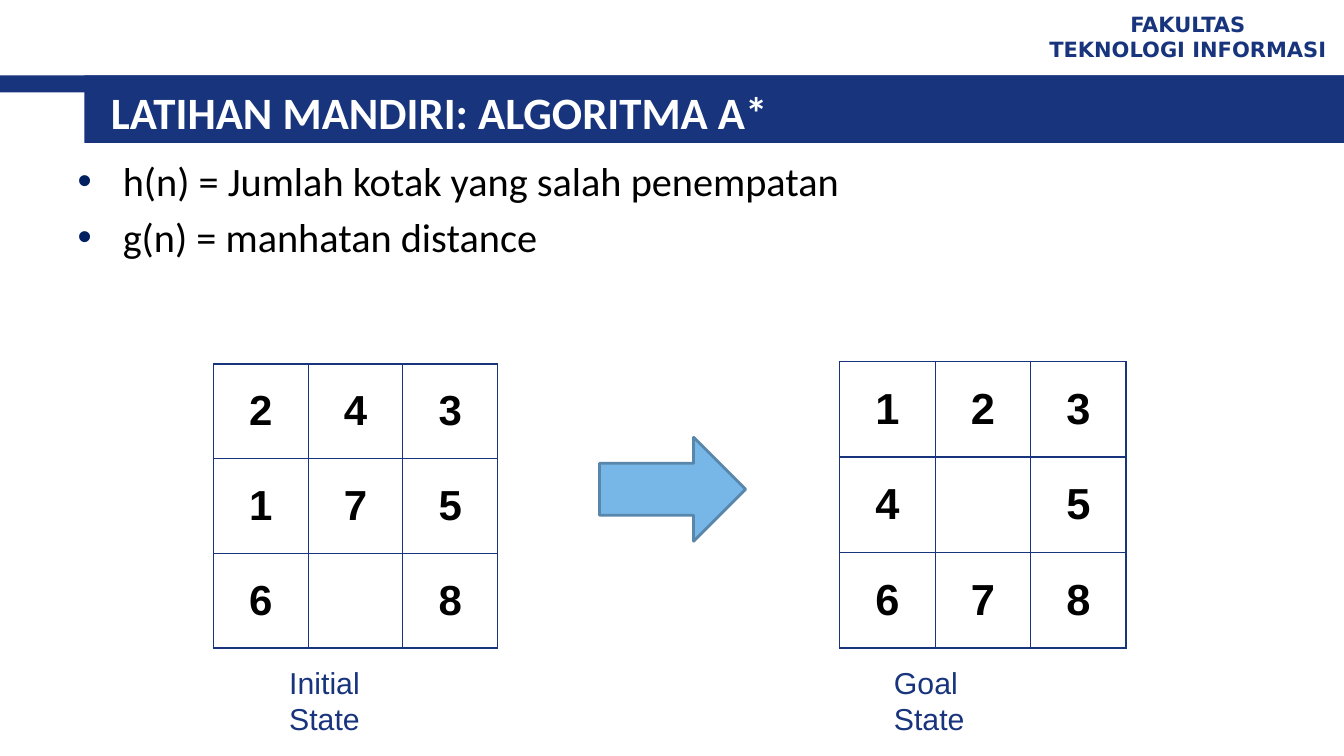
import pptx
import pptx.dml.color
import pptx.enum.shapes
import pptx.enum.text
import pptx.oxml
import pptx.oxml.ns
import pptx.util

Cm = pptx.util.Cm
Pt = pptx.util.Pt
RGBColor = pptx.dml.color.RGBColor
Align = pptx.enum.text.PP_ALIGN
Anchor = pptx.enum.text.MSO_ANCHOR
Preset = pptx.enum.shapes.MSO_SHAPE

NAVY = RGBColor(0x17, 0x34, 0x7D)
BULLET_NAVY = RGBColor(0x00, 0x20, 0x60)
SKY = RGBColor(0x77, 0xB7, 0xE7)
STEEL = RGBColor(0x58, 0x87, 0xAB)
BLACK = RGBColor(0, 0, 0)
WHITE = RGBColor(0xFF, 0xFF, 0xFF)

HEADER_FONT = {"name": "DejaVu Sans", "size": Pt(15), "bold": True, "color": NAVY}
TITLE_FONT = {"name": "Calibri", "size": Pt(32), "bold": True, "color": WHITE}
BODY_FONT = {"name": "Calibri", "size": Pt(28.8), "bold": False, "color": BLACK}
TILE_FONT = {"name": "Arial", "size": Pt(30), "bold": True, "color": BLACK}
LABEL_FONT = {"name": "Arial", "size": Pt(21.6), "bold": False, "color": NAVY}

INITIAL_STATE = [["2", "4", "3"], ["1", "7", "5"], ["6", "", "8"]]
GOAL_STATE = [["1", "2", "3"], ["4", "", "5"], ["6", "7", "8"]]


def write(paragraph, text, font_values, alignment):
    paragraph.alignment = alignment
    run = paragraph.add_run()
    run.text = text
    for name, value in font_values.items():
        if name == "color":
            run.font.color.rgb = value
        else:
            setattr(run.font, name, value)


def write_lines(text_frame, lines, font_values, alignment, anchor):
    frame_values = {
        "word_wrap": True,
        "auto_size": pptx.enum.text.MSO_AUTO_SIZE.NONE,
        "vertical_anchor": anchor,
    }
    for name, value in frame_values.items():
        setattr(text_frame, name, value)
    for index, line in enumerate(lines):
        paragraph = text_frame.add_paragraph() if index else text_frame.paragraphs[0]
        write(paragraph, line, font_values, alignment)


def place(shape, left, top, width, height):
    box = {"left": left, "top": top, "width": width, "height": height}
    for name, value in box.items():
        setattr(shape, name, Cm(value))


def add_filled_shape(slide, preset, box, fill):
    shape = slide.shapes.add_shape(preset, *map(Cm, box))
    shape.shadow.inherit = False
    shape.fill.solid()
    shape.fill.fore_color.rgb = fill
    shape.line.fill.background()
    return shape


def add_text(slide, box, lines, font_values, alignment, anchor):
    shape = slide.shapes.add_textbox(*map(Cm, box))
    write_lines(shape.text_frame, lines, font_values, alignment, anchor)


def build_heading(slide, left, top, width, height):
    # Faculty name, top right
    add_text(slide, (left + width - 7.87, top + 0.13, 7.87, 1.57),
             ["FAKULTAS", "TEKNOLOGI INFORMASI"], HEADER_FONT, Align.CENTER, Anchor.MIDDLE)

    # Stepped band
    band_top, indent = top + 1.9, 2.13
    add_filled_shape(slide, Preset.RECTANGLE, (left, band_top, width, 0.43), NAVY)
    add_filled_shape(slide, Preset.RECTANGLE,
                     (left + indent, band_top, width - indent, top + height - band_top), NAVY)

    # Title, brought in front of the band
    title = slide.shapes.title
    place(title, left + 2.54, top + 2.03, 30.2, 1.57)
    write_lines(title.text_frame, ["LATIHAN MANDIRI: ALGORITMA A*"],
                TITLE_FONT, Align.LEFT, Anchor.MIDDLE)
    title.element.getparent().append(title.element)


def build_bullets(slide, left, top, width, height):
    body = slide.placeholders[1]
    place(body, left, top, width, height)
    write_lines(body.text_frame,
                ["h(n) = Jumlah kotak yang salah penempatan", "g(n) = manhatan distance"],
                BODY_FONT, Align.JUSTIFY, Anchor.TOP)
    namespace = pptx.oxml.ns.nsdecls("a")
    bullet_parts = [
        f'<a:buClr {namespace}><a:srgbClr val="{BULLET_NAVY}"/></a:buClr>',
        f'<a:buFont {namespace} typeface="Arial"/>',
        f'<a:buChar {namespace} char="•"/>',
    ]
    for index, paragraph in enumerate(body.text_frame.paragraphs):
        properties = paragraph._p.get_or_add_pPr()
        properties.set("marL", str(Cm(1.14)))
        properties.set("indent", str(-Cm(1.14)))
        for part in bullet_parts:
            properties.append(pptx.oxml.parse_xml(part))
        paragraph.space_before = Pt(5.5 if index else 0)


def outline_cell(cell):
    properties = cell._tc.get_or_add_tcPr()
    for side in ("lnL", "lnR", "lnT", "lnB"):
        properties.append(pptx.oxml.parse_xml(
            f'<a:{side} {pptx.oxml.ns.nsdecls("a")} w="{Pt(1)}">'
            f'<a:solidFill><a:srgbClr val="{NAVY}"/></a:solidFill></a:{side}>'))


def build_puzzle(slide, left, top, side, tiles, font_size):
    count = len(tiles)
    table = slide.shapes.add_table(count, count, *map(Cm, (left, top, side, side))).table
    table.first_row = False
    table.horz_banding = False
    for line in [*table.columns]:
        line.width = Cm(side / count)
    for line in table.rows:
        line.height = Cm(side / count)
    for row, values in enumerate(tiles):
        for column, value in enumerate(values):
            cell = table.cell(row, column)
            outline_cell(cell)
            cell.fill.background()
            cell.vertical_anchor = Anchor.MIDDLE
            if value:
                write(cell.text_frame.paragraphs[0], value,
                      {**TILE_FONT, "size": Pt(font_size)}, Align.CENTER)


def build_exercise(slide, left, top, width, height):
    # Start and goal boards, resting on the same bottom edge
    board_bottom, label_top = top + 7.21, top + 7.49
    goal_side = 7.22
    goal_left = left + width - goal_side
    build_puzzle(slide, left, board_bottom - 7.16, 7.16, INITIAL_STATE, 30)
    build_puzzle(slide, goal_left, board_bottom - goal_side, goal_side, GOAL_STATE, 31)

    # Labels, narrow enough to break between the words
    labels = [(left + 1.66, 3.99, "Initial State"), (goal_left + 1.12, 3.91, "Goal State")]
    for label_left, label_width, label in labels:
        add_text(slide, (label_left, label_top, label_width, top + height - label_top),
                 [label], LABEL_FONT, Align.LEFT, Anchor.TOP)

    # Arrow between the boards
    arrow = add_filled_shape(slide, Preset.RIGHT_ARROW,
                             (left + 9.73, top + 1.9, 3.68, 2.62), SKY)
    arrow.line.color.rgb = STEEL
    arrow.line.width = Pt(2)


def main():
    presentation = pptx.Presentation()
    presentation.slide_width = Cm(33.87)
    presentation.slide_height = Cm(19.05)
    slide = presentation.slides.add_slide(presentation.slide_layouts[1])
    build_heading(slide, 0, 0, 33.87, 3.6)
    build_bullets(slide, 1.7, 3.81, 30.48, 13.77)
    build_exercise(slide, 5.38, 9.12, 23, 9.6)
    presentation.save("out.pptx")


if __name__ == "__main__":
    main()
